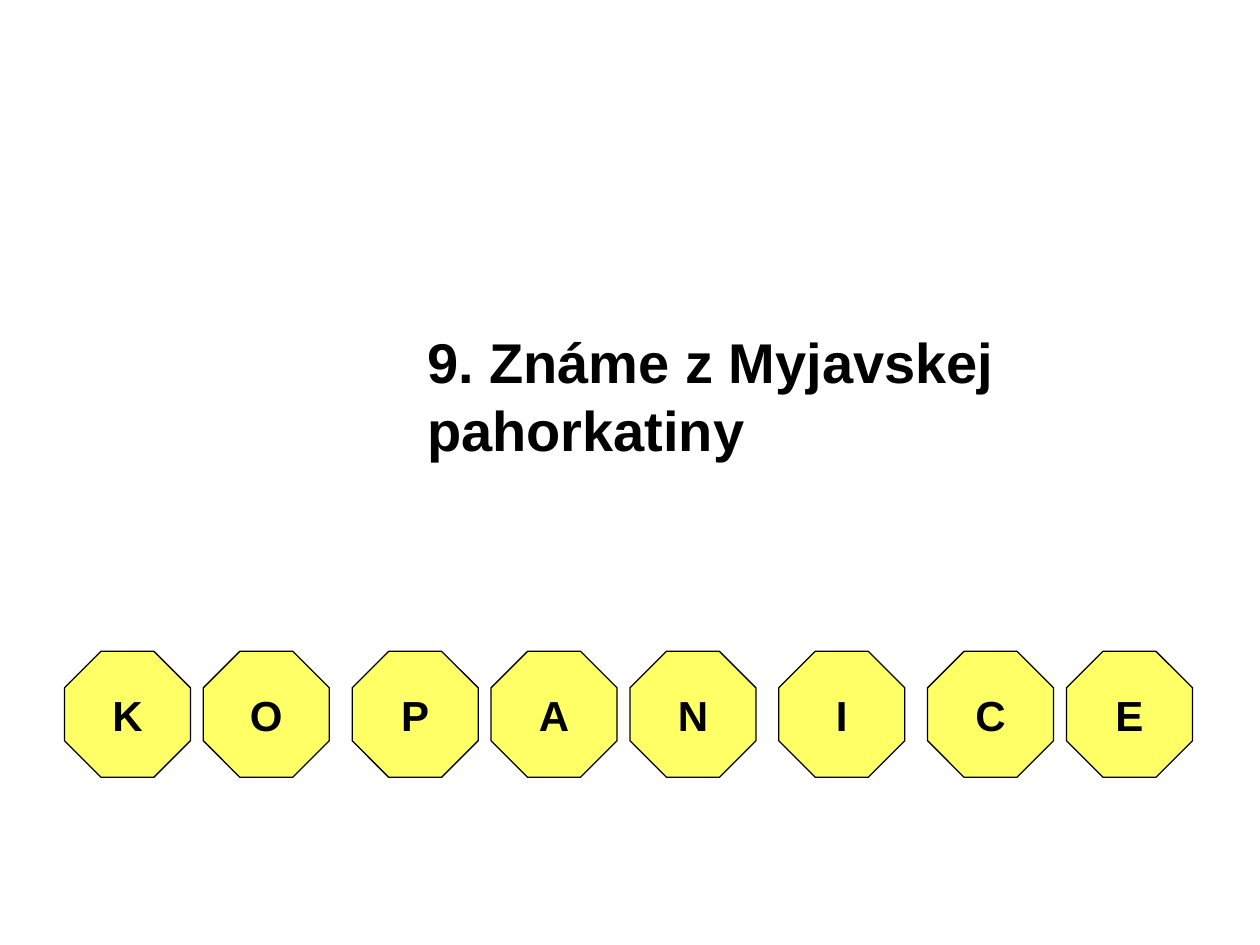
from itertools import accumulate

from pptx import Presentation
from pptx import util as u
from pptx.dml.color import RGBColor
from pptx.enum import shapes, text

BLACK = RGBColor(0x00, 0x00, 0x00)
YELLOW = RGBColor(0xFF, 0xFF, 0x66)

ANSWER = "KOPANICE"
FIRST_LEFT, TILE_TOP, TILE_SIZE = 1.3, 13.13, 2.54
NARROW, WIDE = 2.8, 3.0
STEPS = [NARROW, WIDE, NARROW, NARROW, WIDE, WIDE, NARROW]


class PuzzleSlide:
    font_name = "Arial"

    def __init__(self, slide):
        self.slide = slide

    def set_label(self, shape, content, size, align, wrap):
        frame = shape.text_frame
        frame.text = content
        frame.word_wrap = wrap
        frame.vertical_anchor = text.MSO_ANCHOR.MIDDLE
        paragraph = frame.paragraphs[0]
        paragraph.alignment = align
        font = paragraph.runs[0].font
        font.name, font.size, font.bold = self.font_name, u.Pt(size), True
        font.color.rgb = BLACK

    def clue(self, content, left, top, width, height):
        box = self.slide.shapes.add_textbox(
            u.Cm(left), u.Cm(top), u.Cm(width), u.Cm(height))
        self.set_label(box, content, 32, text.PP_ALIGN.LEFT, True)

    def letter_tile(self, letter, left):
        tile = self.slide.shapes.add_shape(
            shapes.MSO_SHAPE.OCTAGON,
            u.Cm(left), u.Cm(TILE_TOP), u.Cm(TILE_SIZE), u.Cm(TILE_SIZE))
        tile.adjustments[0] = 0.29
        tile.shadow.inherit = False
        tile.fill.solid()
        tile.fill.fore_color.rgb = YELLOW
        tile.line.color.rgb = BLACK
        tile.line.width = u.Pt(0.75)
        self.set_label(tile, letter, 24, text.PP_ALIGN.CENTER, False)


def main():
    deck = Presentation()
    deck.slide_width, deck.slide_height = u.Cm(25.4), u.Cm(19.05)
    puzzle = PuzzleSlide(deck.slides.add_slide(deck.slide_layouts[6]))

    # Clue
    puzzle.clue("9. Známe z Myjavskej pahorkatiny", 8.36, 5.92, 12.34, 4.09)

    # Answer, one tile per letter
    for letter, left in zip(ANSWER, accumulate(STEPS, initial=FIRST_LEFT)):
        puzzle.letter_tile(letter, left)

    deck.save("out.pptx")


if __name__ == "__main__":
    main()
